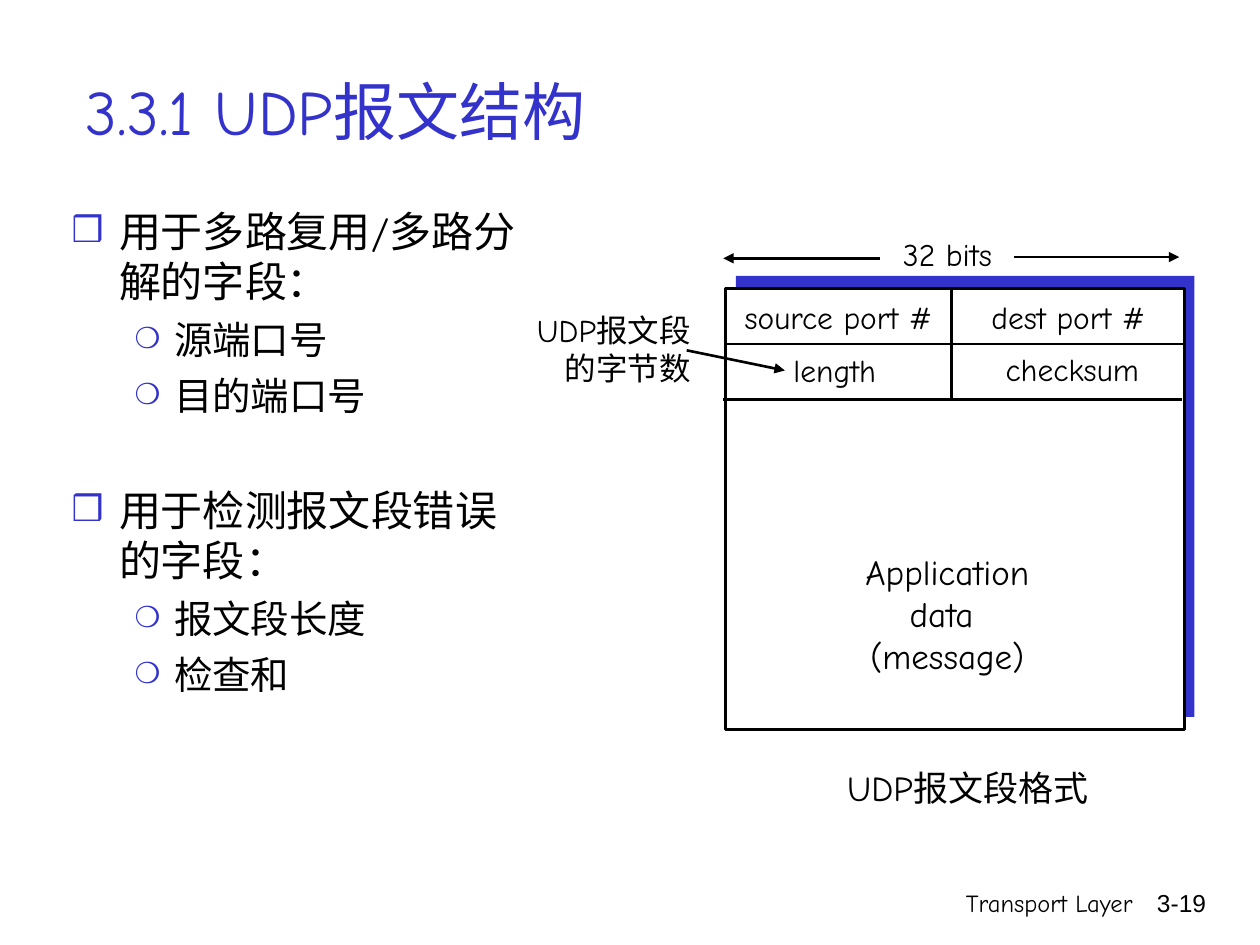
"""Build a slide on the structure of a UDP segment."""
from typing import NamedTuple

from lxml import etree
from pptx import Presentation
from pptx.dml.color import RGBColor
from pptx.enum.shapes import MSO_CONNECTOR, MSO_SHAPE
from pptx.enum.text import MSO_ANCHOR, MSO_AUTO_SIZE, PP_ALIGN
from pptx.oxml.ns import qn
from pptx.util import Pt

STRAIGHT = MSO_CONNECTOR.STRAIGHT
RECTANGLE = MSO_SHAPE.RECTANGLE
LEFT, CENTER, RIGHT = PP_ALIGN.LEFT, PP_ALIGN.CENTER, PP_ALIGN.RIGHT
TOP, MIDDLE = MSO_ANCHOR.TOP, MSO_ANCHOR.MIDDLE
NO_AUTOFIT = MSO_AUTO_SIZE.NONE
FONT = "Comic Neue"
BLACK, BLUE, WHITE = "000000", "3333CC", "FFFFFF"
LEFT_SIDE = 1

BOX_LEFT, BOX_TOP, BOX_WIDTH, BOX_HEIGHT = 414.7, 164.9, 262.1, 252
FIRST_ROW_BOTTOM, SECOND_ROW_BOTTOM = 196.6, 228.2
COLUMN_SPLIT = 543.6


class Label(NamedTuple):
    lines: list[str]
    left: float
    top: float
    width: float
    height: float
    size: float = 18
    align: PP_ALIGN = CENTER
    font: str = FONT
    wrap: bool = False
    side_margin: float = 7.2


class Line(NamedTuple):
    start_x: float
    start_y: float
    end_x: float
    end_y: float
    arrow: bool = False


class Level(NamedTuple):
    bullet: str
    bullet_percent: int
    margin: float
    indent: float
    size: float
    space_before: float


class Item(NamedTuple):
    text: str
    level: int
    extra_space: float = 0


LEVELS = [Level("❒", 85, 27, -27, 24, 6), Level("❍", 75, 58.5, -22.5, 22, 5.5)]

ITEMS = [
    Item("用于多路复用/多路分解的字段：", 0),
    Item("源端口号", 1),
    Item("目的端口号", 1),
    Item("用于检测报文段错误的字段：", 0, 32),
    Item("报文段长度", 1),
    Item("检查和", 1),
]

LENGTH_LABEL = Label(["length"], 448.5, 197.3, 57, 28.8, side_margin=1)

LABELS = [
    Label(["Transport Layer"], 426.2, 504, 228.2, 36, 14, RIGHT, wrap=True),
    Label(["3-19"], 643, 504, 53.3, 36, 14, RIGHT, "Arial", True),
    Label(["source port #"], 418.3, 167, 121.7, 28.8),
    Label(["dest port #"], 559.4, 167, 102.2, 28.8),
    Label(["checksum"], 567.4, 196.6, 90.7, 28.8),
    Label(["32 bits"], 509, 131, 64.8, 28.8, side_margin=1),
    Label(["Application", "data ", "(message)"], 487.4, 311, 108, 79.2, 20),
    Label(["UDP报文段格式"], 474.5, 434.2, 157, 31.7, 20),
    Label(["UDP报文段的字节数"], 290.9, 174.2, 110.9, 50.4, align=RIGHT, wrap=True),
]

LINES = [
    Line(414, FIRST_ROW_BOTTOM, 676.1, FIRST_ROW_BOTTOM),
    Line(413.3, SECOND_ROW_BOTTOM, 675.4, SECOND_ROW_BOTTOM),
    Line(COLUMN_SPLIT, BOX_TOP, COLUMN_SPLIT, SECOND_ROW_BOTTOM),
    Line(579.6, 146.9, 673.9, 146.9, True),
    Line(502.6, 147.6, 413.3, 147.6, True),
]


def color(hex_string: str) -> RGBColor:
    """Turn a hex string into a colour."""
    return RGBColor.from_string(hex_string)


def write_text(paragraph, text: str, *, size: float = 18, font: str = FONT,
               fill: str = BLACK, align: PP_ALIGN = LEFT) -> None:
    """Add one formatted run to a paragraph."""
    paragraph.alignment = align
    run = paragraph.add_run()
    run.text = text
    run.font.name = font
    run.font.size = Pt(size)
    run.font.color.rgb = color(fill)


def place(shape, left: float, top: float, width: float, height: float) -> None:
    """Move and size a shape."""
    shape.left, shape.top = Pt(left), Pt(top)
    shape.width, shape.height = Pt(width), Pt(height)


def add_label(slide, label: Label):
    """Draw a text box and return it."""
    shape = slide.shapes.add_textbox(
        Pt(label.left), Pt(label.top), Pt(label.width), Pt(label.height))
    frame = shape.text_frame
    frame.word_wrap = label.wrap
    frame.margin_left = frame.margin_right = Pt(label.side_margin)
    for index, text in enumerate(label.lines):
        paragraph = frame.add_paragraph() if index else frame.paragraphs[0]
        write_text(paragraph, text, size=label.size, font=label.font, align=label.align)
    return shape


def add_box(slide, left: float, top: float, fill: str, outline: str | None = None) -> None:
    """Draw one segment-sized rectangle."""
    shape = slide.shapes.add_shape(
        RECTANGLE, Pt(left), Pt(top), Pt(BOX_WIDTH), Pt(BOX_HEIGHT))
    shape.shadow.inherit = False
    shape.fill.solid()
    shape.fill.fore_color.rgb = color(fill)
    if outline:
        shape.line.color.rgb = color(outline)
        shape.line.width = Pt(1.5)
    else:
        shape.line.fill.background()


def add_line(slide, line: Line):
    """Draw a straight connector and return it."""
    connector = slide.shapes.add_connector(
        STRAIGHT, Pt(line.start_x), Pt(line.start_y), Pt(line.end_x), Pt(line.end_y))
    connector.line.color.rgb = color(BLACK)
    connector.line.width = Pt(1.5)
    if line.arrow:
        etree.SubElement(connector.line._get_or_add_ln(), qn("a:tailEnd"), type="triangle")
    etree.SubElement(connector._element.spPr, qn("a:effectLst"))
    return connector


def add_item(paragraph, item: Item) -> None:
    """Write one bulleted list item."""
    level = LEVELS[item.level]
    paragraph.level = item.level
    paragraph.space_before = Pt(level.space_before + item.extra_space)
    write_text(paragraph, item.text, size=level.size)
    properties = paragraph._p.get_or_add_pPr()
    properties.set("marL", str(Pt(level.margin)))
    properties.set("indent", str(Pt(level.indent)))
    bullet_color = etree.SubElement(properties, qn("a:buClr"))
    etree.SubElement(bullet_color, qn("a:srgbClr"), val=BLUE)
    etree.SubElement(properties, qn("a:buSzPct"), val=str(level.bullet_percent * 1000))
    etree.SubElement(properties, qn("a:buChar"), char=level.bullet)


def main() -> None:
    """Build and save the presentation."""
    presentation = Presentation()
    presentation.slide_width, presentation.slide_height = Pt(720), Pt(540)
    slide = presentation.slides.add_slide(presentation.slide_layouts[1])

    title, body = slide.placeholders
    place(title, 41.8, 18, 656.6, 90)
    title.text_frame.vertical_anchor = MIDDLE
    title.text_frame.auto_size = NO_AUTOFIT
    write_text(title.text_frame.paragraphs[0], "3.3.1 UDP报文结构", size=36, fill=BLUE)

    place(body, 33.8, 113.8, 270, 365.8)
    frame = body.text_frame
    frame.vertical_anchor = TOP
    frame.auto_size = NO_AUTOFIT
    for index, item in enumerate(ITEMS):
        add_item(frame.add_paragraph() if index else frame.paragraphs[0], item)

    add_box(slide, 420.5, 157.7, BLUE)
    add_box(slide, BOX_LEFT, BOX_TOP, WHITE, BLACK)
    for line in LINES:
        add_line(slide, line)
    for label in LABELS:
        add_label(slide, label)

    length = add_label(slide, LENGTH_LABEL)
    pointer = add_line(slide, Line(392.4, 200.2, 448.5, 211.7, True))
    pointer.end_connect(length, LEFT_SIDE)
    presentation.save("out.pptx")


if __name__ == "__main__":
    main()
